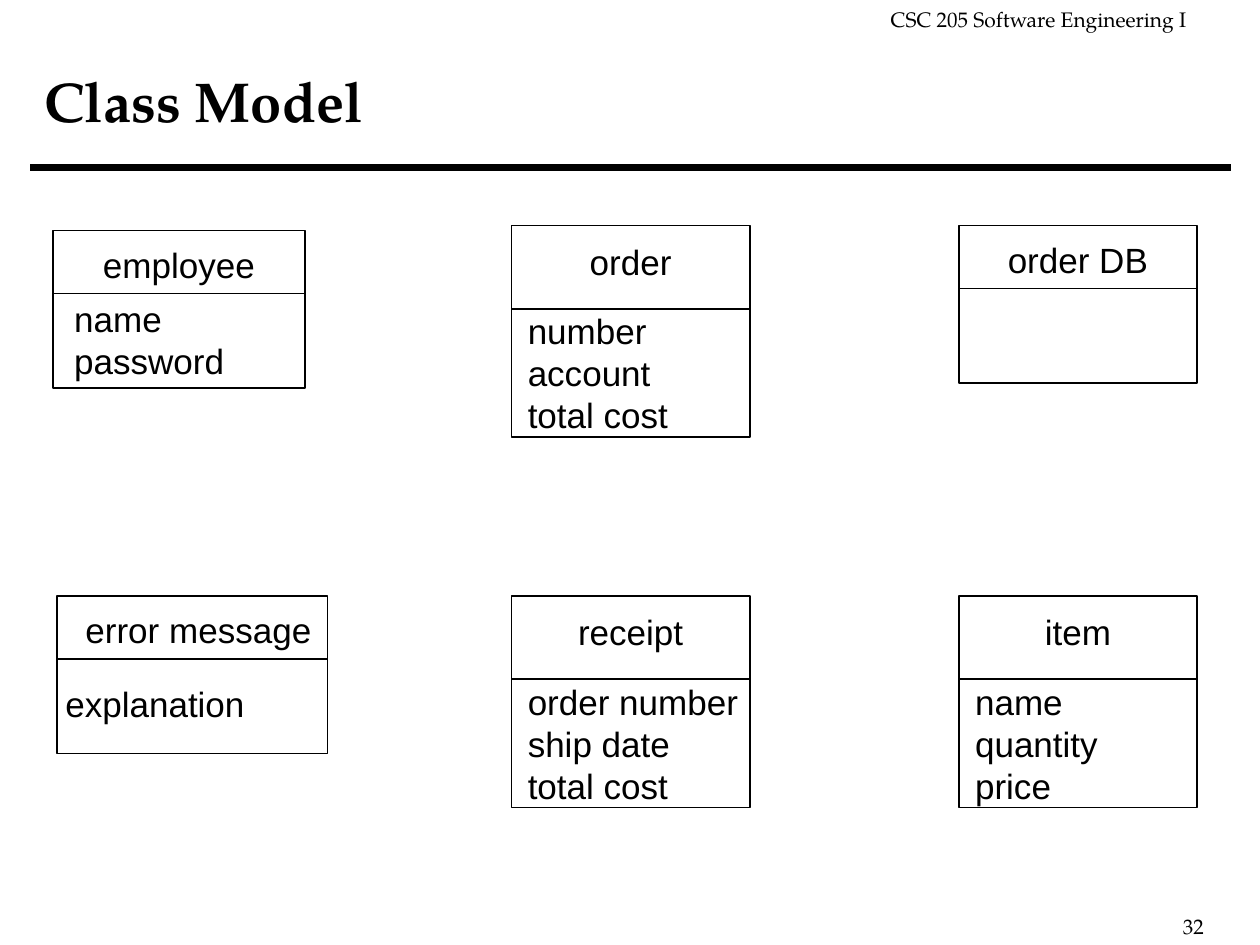
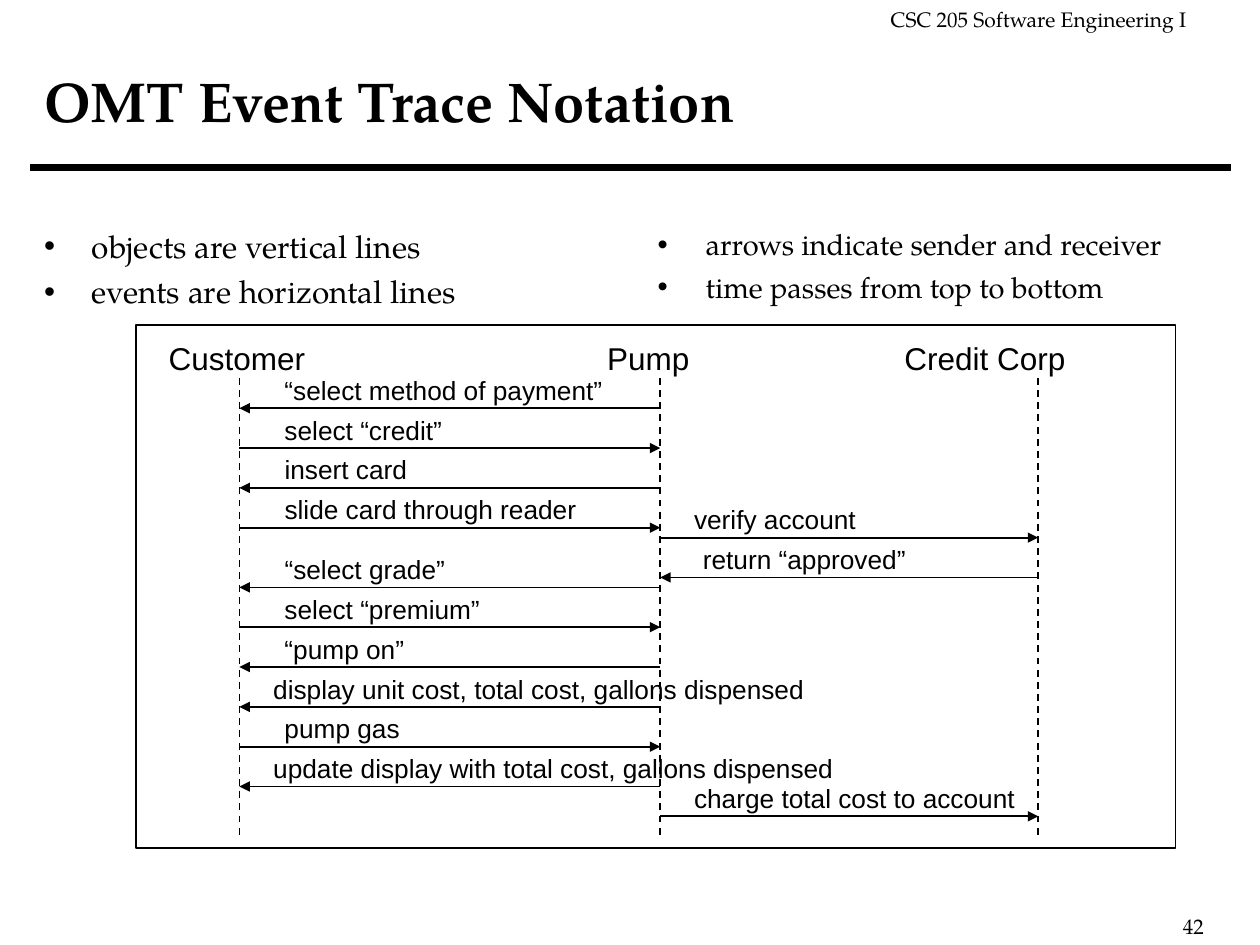
from dataclasses import dataclass
from lxml.etree import SubElement
from pptx import Presentation
from pptx.dml.color import RGBColor as RGB
from pptx.enum.dml import MSO_LINE as DASH
from pptx.enum.shapes import MSO_CONNECTOR as CONN, MSO_SHAPE as SHAPE
from pptx.enum.text import MSO_ANCHOR as ANCHOR, MSO_AUTO_SIZE as FIT, PP_ALIGN as ALIGN
from pptx.oxml.ns import qn
from pptx.util import Inches, Pt


@dataclass(frozen=True)
class Theme:
    ink: RGB = RGB(0, 0, 0)
    paper: RGB = RGB(255, 255, 255)
    serif: str = "TeX Gyre Pagella"
    sans: str = "Arial"
    title: float = 32
    entity: float = 20
    bullet: float = 18
    bullet_small: float = 16.6
    event: float = 15
    footer: float = 12
    rule: float = 4
    hairline: float = 1


T = Theme()
prs = Presentation()
prs.slide_width, prs.slide_height = Inches(10), Inches(7.5)
COL, ROW = prs.slide_width / 100, prs.slide_height / 75


def place(sp, box, lines=(), size=T.entity, font=T.sans, align=ALIGN.LEFT,
          anchor=ANCHOR.TOP, bold=False, bullets=False):
    x, y, w, h = box
    sp.left, sp.top = int(x * COL), int(y * ROW)
    sp.width, sp.height = int(w * COL), int(h * ROW)
    tf = sp.text_frame
    tf.word_wrap, tf.auto_size, tf.vertical_anchor = True, FIT.NONE, anchor
    for i, line in enumerate(lines):
        p = tf.paragraphs[0] if i == 0 else tf.add_paragraph()
        if bullets:
            pPr = p._p.get_or_add_pPr()
            pPr.set("marL", str(Inches(0.38)))
            pPr.set("indent", str(-Inches(0.38)))
            SubElement(pPr, qn("a:buFont")).set("typeface", T.sans)
            SubElement(pPr, qn("a:buChar")).set("char", "•")
        p.alignment = align
        p.space_before = Pt(4.5 if bullets and i else 0)
        r = p.add_run()
        r.text = line
        r.font.name, r.font.size, r.font.bold = font, Pt(size), bold
        r.font.color.rgb = T.ink
    return sp


def draw_line(s, x1, y1, x2, y2, width=T.hairline, dashed=False, arrow=False):
    ln = s.shapes.add_connector(CONN.STRAIGHT, int(x1 * COL), int(y1 * ROW),
                                int(x2 * COL), int(y2 * ROW))
    ln.line.color.rgb, ln.line.width = T.ink, Pt(width)
    if dashed:
        ln.line.dash_style = DASH.DASH
    if arrow:
        SubElement(ln.line._get_or_add_ln(), qn("a:tailEnd")).set("type", "triangle")
    SubElement(ln._element.spPr, qn("a:effectLst"))


slides = []
for title, number, layout in (("Class Model", "32", 5),
                              ("OMT Event Trace Notation", "42", 3)):
    s = prs.slides.add_slide(prs.slide_layouts[layout])
    place(s.shapes.title, (2.5, 1.7, 95.8, 12.5), [title], T.title, T.serif,
          anchor=ANCHOR.MIDDLE, bold=True)
    for box, text in (((69.7, 0, 26.5, 3), "CSC 205 Software Engineering I"),
                      ((92.9, 72, 6, 3), number)):
        place(s.shapes.add_textbox(0, 0, 0, 0), box, [text], T.footer, T.serif)
    draw_line(s, 2.4, 13.3, 97.7, 13.3, T.rule)
    slides.append(s)
class_slide, trace_slide = slides

LEFT, MID, RIGHT = 4.2, 40.6, 76.1
TOP, BOTTOM = 17.9, 47.3
SHORT, TALL = (12.5, 5, 0.5), (16.8, 6.6, 0.7)
classes = (
    ("employee", LEFT, TOP + 0.4, 20, SHORT, 0, (0.7, -0.2), ["name", "password"]),
    ("order", MID, TOP, 18.9, TALL, 0, (0.3, -0.4), ["number", "account", "total cost"]),
    ("order DB", RIGHT, TOP, 18.9, SHORT, 0, (0, 0), []),
    ("error message", LEFT + 0.3, BOTTOM, 21.5, SHORT, 0.5, (-0.3, 1.4), ["explanation"]),
    ("receipt", MID, BOTTOM, 18.9, TALL, 0, (0.3, -0.4),
     ["order number", "ship date", "total cost"]),
    ("item", RIGHT, BOTTOM, 18.9, TALL, 0, (0.3, -0.4), ["name", "quantity", "price"]),
)
shapes = class_slide.shapes
for name, x, y, w, (h, head, pad), shift, (dx, dy), attributes in classes:
    sp = place(shapes.add_shape(SHAPE.RECTANGLE, 0, 0, 0, 0), (x, y, w, h))
    sp.shadow.inherit = False
    sp.fill.solid()
    sp.fill.fore_color.rgb = T.paper
    sp.line.color.rgb, sp.line.width = T.ink, Pt(T.hairline)
    draw_line(class_slide, x, y + head, x + w, y + head)
    place(shapes.add_textbox(0, 0, 0, 0), (x + shift, y + pad, w, 4.3), [name],
          align=ALIGN.CENTER)
    if attributes:
        place(shapes.add_textbox(0, 0, 0, 0),
              (x + dx, y + head + dy, w, 1 + 3.3 * len(attributes)), attributes)

shapes = trace_slide.shapes
for idx, x, h, size, lines in (
        (1, 2.5, 8.3, T.bullet, ["objects are vertical lines", "events are horizontal lines"]),
        (2, 51.2, 7.5, T.bullet_small,
         ["arrows indicate sender and receiver", "time passes from top to bottom"])):
    place(trace_slide.placeholders[idx], (x, 17.5, 47.1, h), lines, size, T.serif,
          bullets=True)

frame = place(shapes.add_shape(SHAPE.RECTANGLE, 0, 0, 0, 0), (10.8, 25.8, 82.5, 41.5))
frame.shadow.inherit = False
frame.fill.solid()
frame.fill.fore_color.rgb = T.paper
frame.line.color.rgb, frame.line.width = T.ink, Pt(T.hairline)

CUSTOMER, PUMP, CREDIT = 19, 52.4, 82.4
for name, x, text_x in (("Customer", CUSTOMER, 12.4), ("Pump", PUMP, 47.2),
                        ("Credit Corp", CREDIT, 70.8)):
    draw_line(trace_slide, x, 30, x, 66.5, dashed=True)
    place(shapes.add_textbox(0, 0, 0, 0), (text_x, 26.4, 16, 4), [name], T.bullet)

FIRST_EVENT, QUARTER_STEP = 32.4, 0.79
events = (
    (0, PUMP, CUSTOMER, 2.6, 28.3, "“select method of payment”"),
    (4, CUSTOMER, PUMP, 2.6, 16.6, "select “credit”"),
    (8, PUMP, CUSTOMER, 2.6, 13.2, "insert card"),
    (12, CUSTOMER, PUMP, 2.6, 25.5, "slide card through reader"),
    (13, PUMP, CREDIT, 1.7, 15.9, "verify account"),
    (17, CREDIT, PUMP, 2.4, 18.5, "return “approved”"),
    (18, PUMP, CUSTOMER, 2.6, 16.5, "“select grade”"),
    (22, CUSTOMER, PUMP, 2.6, 19.7, "select “premium”"),
    (26, PUMP, CUSTOMER, 2.6, 15.4, "“pump on”"),
    (30, PUMP, CUSTOMER, 1.7, 46.2, "display unit cost, total cost, gallons dispensed"),
    (34, CUSTOMER, PUMP, 2.6, 12.4, "pump gas"),
    (38, PUMP, CUSTOMER, 1.7, 50.3, "update display with total cost, gallons dispensed"),
    (41, PUMP, CREDIT, 1.7, 35.1, "charge total cost to account"),
)
for step, sender, receiver, indent, width, text in events:
    y = FIRST_EVENT + step * QUARTER_STEP
    draw_line(trace_slide, sender, y, receiver, y, arrow=True)
    place(shapes.add_textbox(0, 0, 0, 0),
          (min(sender, receiver) + indent, y - 3.2, width, 3.5), [text], T.event)

prs.save("out.pptx")
